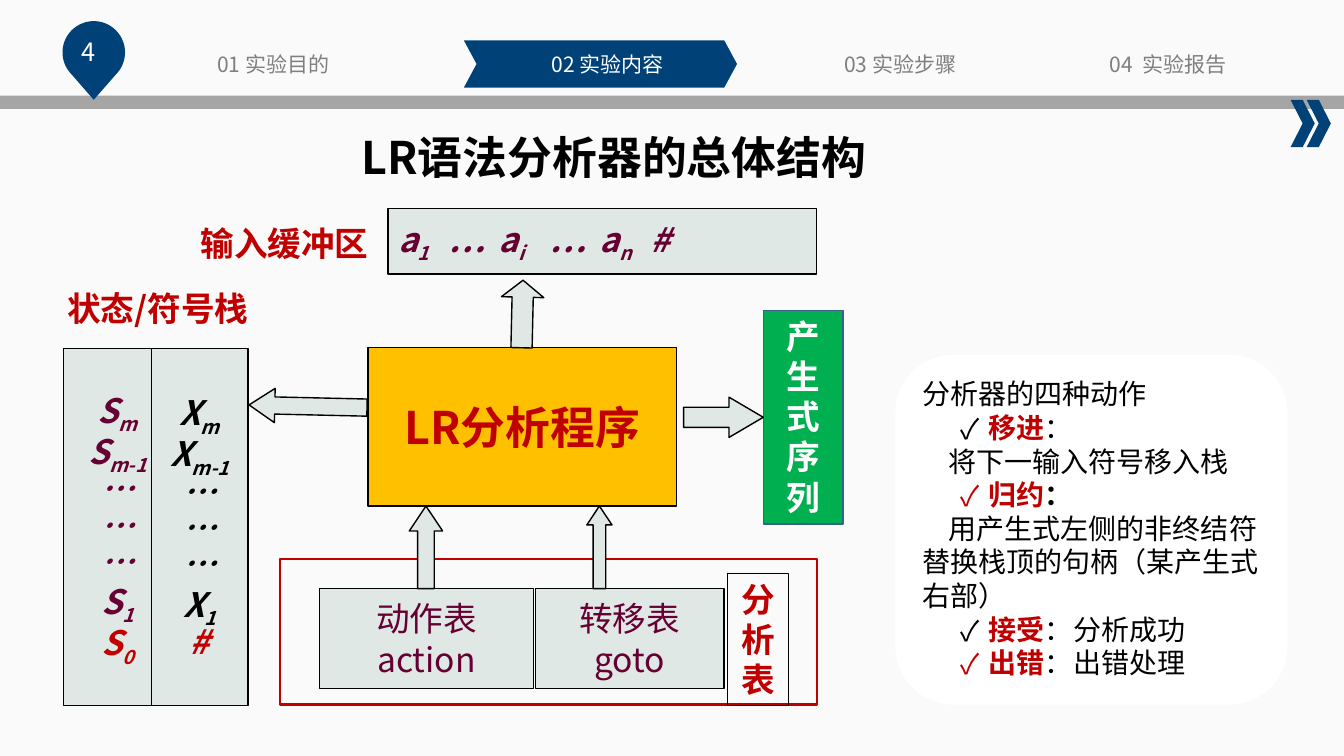
"""Build the slide on the overall structure of an LR parser."""
from dataclasses import dataclass, replace
from math import cos, radians, sin
from typing import Optional

from lxml import etree
from pptx import Presentation
from pptx import util as u
from pptx.dml import color as dml
from pptx.enum import shapes, text
from pptx.oxml import ns
from pptx.slide import Slide

COLUMNS, ROWS = 133.3, 75
WIDTH, HEIGHT = u.Inches(13.33), u.Inches(7.5)
KIND, ALIGN, ANCHOR = shapes.MSO_SHAPE, text.PP_ALIGN, text.MSO_ANCHOR


@dataclass(frozen=True)
class Theme:
    font: str = "Noto Sans CJK SC"
    navy: str = "004178"
    band: str = "A5A5A5"
    muted: str = "7F7F7F"
    panel: str = "E0E8E5"
    plum: str = "660033"
    red: str = "C00000"
    amber: str = "FFC000"
    green: str = "00B050"
    edge: str = "3A5F8C"
    black: str = "000000"
    white: str = "FFFFFF"
    sky: tuple = ("FAFAFA", "FCFCFC")
    title: float = 32
    label: float = 24
    body: float = 20
    page: float = 18
    menu: float = 15


THEME = Theme()


@dataclass(frozen=True)
class Run:
    words: str
    color: str = THEME.black
    size: float = THEME.label
    bold: bool = False
    italic: bool = False
    low: bool = False


@dataclass(frozen=True)
class Line:
    runs: list
    align: ALIGN = ALIGN.CENTER
    spacing: float = 1
    left: float = 0
    first: float = 0
    bullet: str = ""
    tabs: tuple = ()


@dataclass(frozen=True)
class Box:
    left: float
    top: float
    width: float
    height: float
    kind: Optional[KIND] = KIND.RECTANGLE
    fill: str = ""
    line: str = ""
    weight: float = 1
    adjust: tuple = ()
    turn: float = 0
    lines: tuple = ()
    anchor: ANCHOR = ANCHOR.MIDDLE
    margins: tuple = (1, 0.5)


def across(columns: float) -> int:
    return round(WIDTH * columns / COLUMNS)


def down(rows: float) -> int:
    return round(HEIGHT * rows / ROWS)


def rgb(value: str) -> dml.RGBColor:
    return dml.RGBColor.from_string(value)


def add_run(paragraph, item: Run) -> None:
    run = paragraph.add_run()
    run.text = item.words
    font = run.font
    font.name, font.size = THEME.font, u.Pt(item.size)
    font.bold, font.italic = item.bold, item.italic
    font.color.rgb = rgb(item.color)
    properties = run._r.get_or_add_rPr()
    etree.SubElement(properties, ns.qn("a:ea"), typeface=THEME.font)
    if item.low:
        properties.set("baseline", "-25000")


def add_line(paragraph, line: Line) -> None:
    paragraph.alignment, paragraph.line_spacing = line.align, line.spacing
    properties = paragraph._p.get_or_add_pPr()
    properties.set("marL", str(across(line.left)))
    properties.set("indent", str(across(line.first)))
    if line.bullet:
        tint = etree.SubElement(properties, ns.qn("a:buClr"))
        etree.SubElement(tint, ns.qn("a:srgbClr"), val=line.bullet)
        etree.SubElement(properties, ns.qn("a:buFont"), typeface=THEME.font)
        etree.SubElement(properties, ns.qn("a:buChar"), char="✓")
    if line.tabs:
        stops = etree.SubElement(properties, ns.qn("a:tabLst"))
        for stop in line.tabs:
            etree.SubElement(stops, ns.qn("a:tab"), pos=str(across(stop)), algn="l")
    for item in line.runs:
        add_run(paragraph, item)


def paint(shape, box: Box) -> None:
    shape.shadow.inherit = False
    if box.fill:
        shape.fill.solid()
        shape.fill.fore_color.rgb = rgb(box.fill)
    else:
        shape.fill.background()
    if box.line:
        shape.line.color.rgb, shape.line.width = rgb(box.line), u.Pt(box.weight)
    else:
        shape.line.fill.background()


def add_box(slide: Slide, box: Box) -> None:
    place = across(box.left), down(box.top), across(box.width), down(box.height)
    if box.kind is None:
        shape = slide.shapes.add_textbox(*place)
    else:
        shape = slide.shapes.add_shape(box.kind, *place)
        paint(shape, box)
    shape.rotation = box.turn
    for index, value in enumerate(box.adjust):
        shape.adjustments[index] = value
    frame = shape.text_frame
    frame.word_wrap, frame.vertical_anchor = True, box.anchor
    frame.margin_left = frame.margin_right = across(box.margins[0])
    frame.margin_top = frame.margin_bottom = down(box.margins[1])
    for index, line in enumerate(box.lines):
        add_line(frame.add_paragraph() if index else frame.paragraphs[0], line)


def add_pin(slide: Slide, center: tuple, radius: float, tip: float) -> None:
    points = [(across(center[0] + radius * cos(radians(angle))),
               down(center[1] + radius * sin(radians(angle))))
              for angle in range(45, -226, -5)]
    builder = slide.shapes.build_freeform(*points[0])
    builder.add_line_segments(points[1:] + [(across(center[0]), down(tip))])
    paint(builder.convert_to_shape(), Box(0, 0, 0, 0, fill=THEME.navy))


def menu(left: float, width: float, words: str, color: str = THEME.muted) -> Box:
    return Box(left, 5.1, width, 2.5, None, margins=(0, 0),
               lines=(Line([Run(words, color, THEME.menu)]),))


def caption(left: float, top: float, width: float, words: str) -> Box:
    return Box(left, top, width, 5, None, anchor=ANCHOR.TOP,
               lines=(Line([Run(words, THEME.red, bold=True)], ALIGN.LEFT),))


def panel(*place: float, **extra) -> Box:
    return Box(*place, fill=THEME.panel, line=THEME.black, **extra)


def symbol(name: str, index: str = "", color: str = THEME.plum) -> list:
    base = Run(name, color, bold=True, italic=True)
    return [base, replace(base, words=index, low=True)] if index else [base]


def stack(name: str, color: str, bottom: list) -> tuple:
    cells = [symbol(name, "m", color), symbol(name, "m-1", color)]
    cells += [symbol("…", color=color)] * 3 + [symbol(name, "1", color), bottom]
    return tuple(Line(cell, spacing=0.9) for cell in cells)


def column(words: str, color: str) -> tuple:
    return tuple(Line([Run(letter, color, bold=True)]) for letter in words)


def table(*names: str) -> tuple:
    return tuple(Line([Run(name, THEME.plum)]) for name in names)


def note(words: str, first: float = 0) -> Line:
    return Line([Run(words, size=THEME.body)], ALIGN.LEFT, first=first)


def action(name: str, rest: str, mark: str, bold: bool = False) -> Line:
    return Line([Run(name, THEME.red, THEME.body, True), Run(rest, size=THEME.body, bold=bold)],
                ALIGN.LEFT, left=6.6, first=-2.8, bullet=mark)


def heading(words: str) -> tuple:
    return (Line([Run(words, size=THEME.title, bold=True)], spacing=1.3),)


def boxes() -> list:
    t = THEME
    buffer = (symbol("a", "1") + symbol("\t…\ta") + symbol("\t…\ta")[:0]
              + symbol("i", "")[:0])
    buffer += [replace(buffer[1], words="i"), *symbol("\t…\ta", "n"), *symbol("\t#")]
    actions = (note("分析器的四种动作"), action("移进", "：", t.black),
               note("将下一输入符号移入栈", 2.6), action("归约", "：", t.red, True),
               note("用产生式左侧的非终结符替换栈顶的句柄（某产生式右部）", 2.6),
               action("接受", "：分析成功", t.black), action("出错", "：出错处理", t.red))
    return [
        Box(46, 4, 27.1, 4.7, KIND.CHEVRON, t.navy, adjust=(0.27,)),
        menu(16, 22.2, "01 实验目的"), menu(46.1, 28.3, "02 实验内容", t.white),
        menu(69.7, 39.2, "03 实验步骤"), menu(103.3, 25.1, "04  实验报告"),
        Box(0, 9.5, COLUMNS, 1.3, fill=t.band),
        *(Box(left, 9.9, 2.4, 4.7, KIND.CHEVRON, t.navy, adjust=(0.5,)) for left in (128, 129.6)),
        panel(38.5, 20.7, 42.5, 6.5,
              lines=(Line(buffer, ALIGN.LEFT, tabs=(5.4, 11.4, 16.2, 22.2, 27)),)),
        Box(36.5, 34.5, 30.6, 15.7, fill=t.amber, line=t.black,
            lines=(Line([Run("LR分析程序", t.red, t.title, True)]),)),
        panel(31.7, 58.4, 21.2, 9.9, lines=table("动作表", "action")),
        panel(53.1, 58.4, 18.7, 9.9, lines=table("转移表", "goto")),
        Box(75.7, 30.8, 7.9, 21.2, fill=t.green, line=t.edge, anchor=ANCHOR.TOP,
            lines=column("产生式序列", t.white)),
        caption(5.7, 28.1, 23.3, "状态/符号栈"), caption(18.9, 21.6, 19.5, "输入缓冲区"),
        Box(27.8, 55.5, 53.2, 14.4, line=t.red, weight=1.5),
        Box(72.2, 56.9, 6, 13.1, line=t.black, weight=0.75, anchor=ANCHOR.TOP,
            lines=column("分析表", t.red)),
        panel(6.3, 34.6, 10.7, 35.4, lines=stack("S", t.plum, symbol("S", "0", t.red))),
        panel(15, 34.6, 9.6, 35.4, lines=stack("X", t.black, symbol("#", color=t.red))),
        panel(24.7, 38.6, 11.7, 3.4, kind=KIND.RIGHT_ARROW, adjust=(0.5, 0.75), turn=181.3),
        panel(49.7, 27.8, 4.2, 6.7, kind=KIND.DOWN_ARROW, adjust=(0.5, 0.4), turn=181.3),
        panel(40.6, 50.2, 3.3, 8.2, kind=KIND.UP_ARROW, adjust=(0.5, 0.75)),
        panel(58.2, 50.2, 2.5, 8.2, kind=KIND.UP_ARROW, adjust=(0.5, 0.75)),
        panel(67.8, 39.4, 7.9, 4, kind=KIND.RIGHT_ARROW, adjust=(0.5, 0.85)),
        Box(6.2, 10.8, 109.4, 8, None, anchor=ANCHOR.TOP, lines=heading("LR语法分析器的总体结构")),
        Box(88.8, 35.2, 38.9, 34.7, KIND.FLOWCHART_ALTERNATE_PROCESS, t.white,
            lines=actions, anchor=ANCHOR.TOP),
    ]


def main() -> None:
    presentation = Presentation()
    presentation.slide_width, presentation.slide_height = WIDTH, HEIGHT
    slide = presentation.slides.add_slide(presentation.slide_layouts[6])
    sky = slide.background.fill
    sky.gradient()
    sky.gradient_angle = 270
    for stop, value in zip(sky.gradient_stops, THEME.sky):
        stop.color.rgb = rgb(value)
    for box in boxes():
        add_box(slide, box)
    add_pin(slide, (9.3, 5.2), 3.1, 9.9)
    add_box(slide, Box(4.4, 3.1, 8.7, 4, None, anchor=ANCHOR.TOP,
                       lines=(Line([Run("4", THEME.white, THEME.page)]),)))
    presentation.save("out.pptx")


if __name__ == "__main__":
    main()
